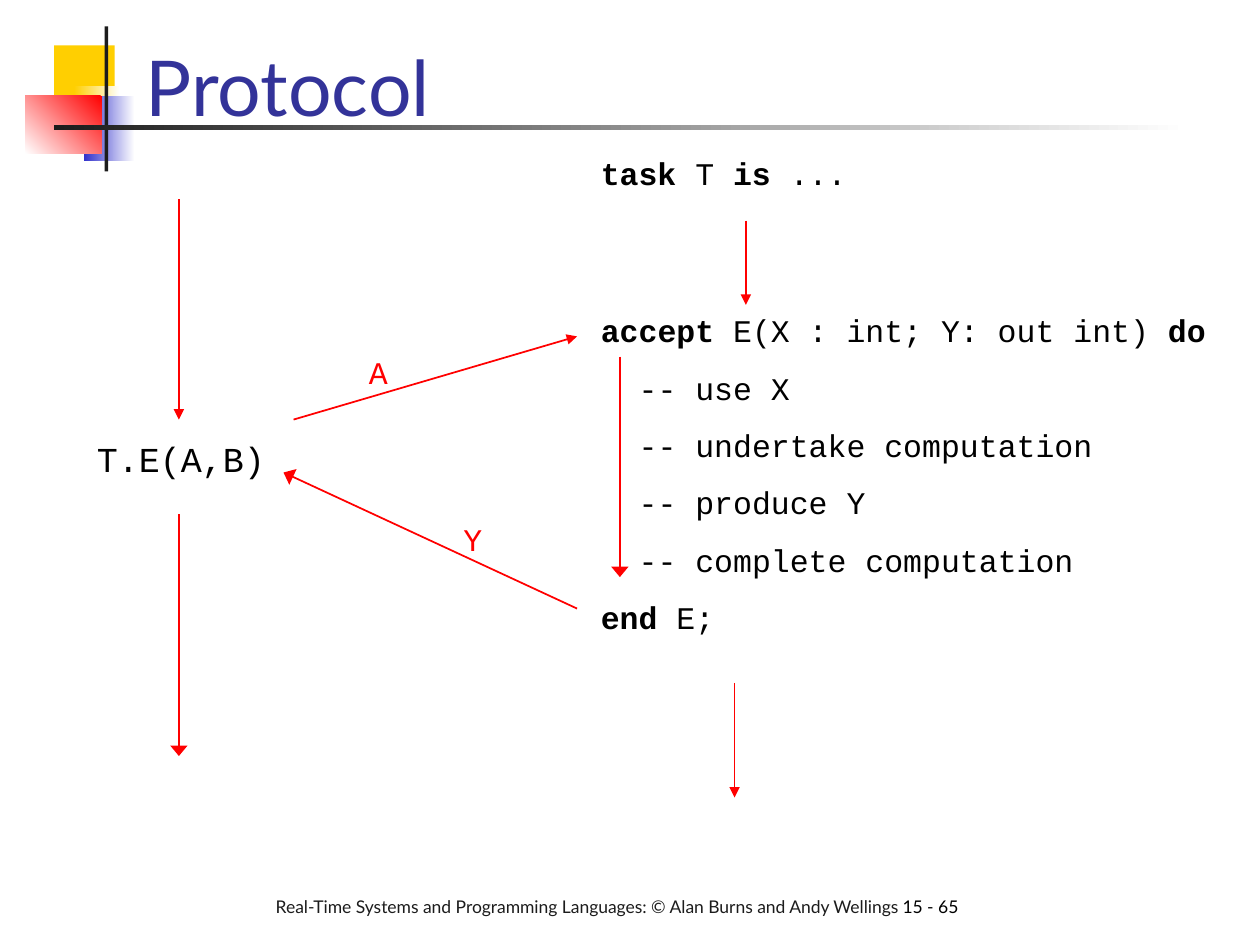
from dataclasses import dataclass

from lxml.etree import SubElement
from pptx import Presentation
from pptx.dml.color import RGBColor
from pptx.enum.shapes import MSO_CONNECTOR, MSO_SHAPE
from pptx.enum.text import MSO_ANCHOR, MSO_AUTO_SIZE
from pptx.oxml.ns import qn
from pptx.util import Inches, Pt


@dataclass(frozen=True)
class Theme:
    sans: str = "Lato"
    mono: str = "Courier New"
    black: str = "000000"
    charcoal: str = "1C1C1C"
    white: str = "FFFFFF"
    yellow: str = "FFCF01"
    blue: str = "3333CC"
    red: str = "FF0000"
    navy: str = "333399"
    title_size: float = 44
    call_size: float = 20
    code_size: float = 18
    footer_size: float = 10
    line_width: float = 1
    code_gap: float = 11.2


class SlideBuilder:
    def __init__(self, slide, theme):
        self.shapes = slide.shapes
        self.theme = theme

    def bar(self, box, *colors, angle=180):
        """Draw a plain rectangle for one colour, a gradient for two."""
        bar = self.shapes.add_shape(MSO_SHAPE.RECTANGLE, *map(Inches, box))
        bar.shadow.inherit = False
        bar.line.fill.background()
        if len(colors) == 1:
            bar.fill.solid()
            bar.fill.fore_color.rgb = RGBColor.from_string(colors[0])
            return
        bar.fill.gradient()
        bar.fill.gradient_angle = angle
        for stop, color in zip(bar.fill.gradient_stops, colors):
            stop.color.rgb = RGBColor.from_string(color)

    def text(self, box, lines, size, color=None, font=None, gap=0, **frame_format):
        """Write lines, each a list of (words, bold, optional colour) runs."""
        frame = self.shapes.add_textbox(*map(Inches, box)).text_frame
        settings = {"word_wrap": True, "auto_size": MSO_AUTO_SIZE.SHAPE_TO_FIT_TEXT}
        for name, value in {**settings, **frame_format}.items():
            setattr(frame, name, value)
        for index, line in enumerate(lines):
            paragraph = frame.paragraphs[0] if index == 0 else frame.add_paragraph()
            paragraph.space_before = Pt(gap if index else 0)
            for words, bold, *own_color in line:
                run = paragraph.add_run()
                run.text = words
                font_format = {"name": font or self.theme.mono, "size": Pt(size), "bold": bold}
                for name, value in font_format.items():
                    setattr(run.font, name, value)
                run_color = own_color[0] if own_color else color or self.theme.black
                run.font.color.rgb = RGBColor.from_string(run_color)

    def arrow(self, start, end, head_width="med"):
        arrow = self.shapes.add_connector(
            MSO_CONNECTOR.STRAIGHT, *map(Inches, (*start, *end)))
        arrow.line.width = Pt(self.theme.line_width)
        arrow.line.color.rgb = RGBColor.from_string(self.theme.red)
        SubElement(arrow.line._get_or_add_ln(), qn("a:tailEnd"),
                   type="triangle", w=head_width, len="med")
        SubElement(arrow._element.spPr, qn("a:effectLst"))


def main():
    theme = Theme()
    deck = Presentation()
    deck.slide_width, deck.slide_height = Inches(10), Inches(7.5)
    slide = SlideBuilder(deck.slides.add_slide(deck.slide_layouts[6]), theme)

    # Corner ornament and title rule
    slide.bar((0.43, 0.36, 0.48, 0.52), theme.yellow)
    slide.bar((0.59, 0.68, 0.36, 0.52), theme.white, theme.yellow)
    slide.bar((0.67, 0.76, 0.4, 0.52), theme.white, theme.blue)
    slide.bar((0.2, 0.76, 0.61, 0.46), theme.red, theme.white, angle=225)
    slide.bar((0.83, 0.21, 0.03, 1.15), theme.charcoal)
    slide.bar((0.43, 0.99, 9, 0.04), theme.white, theme.charcoal)

    footer = [
        ("Real-Time Systems and Programming Languages: © Alan Burns and Andy Wellings ", False),
        ("15 - 65", False, theme.black),
    ]
    slide.text((2.09, 7.06, 6.06, 0.46), [footer], theme.footer_size,
               theme.charcoal, theme.sans)
    slide.text((1.06, 0.13, 8.52, 0.97), [[("Protocol", False)]], theme.title_size,
               theme.navy, theme.sans,
               vertical_anchor=MSO_ANCHOR.BOTTOM, auto_size=MSO_AUTO_SIZE.NONE)

    # Calling task and accepting task
    slide.text((0.67, 3.42, 2.58, 0.44), [[("T.E(A,B)", False)]], theme.call_size)
    task_header = [("task", True), (" T ", False), ("is", True), (" ...", False)]
    slide.text((4.67, 1.17, 3.17, 0.4), [task_header], theme.code_size)
    steps = ["use X", "undertake computation", "produce Y", "complete computation"]
    accept_body = [
        [("accept", True), (" E(X : int; Y: out int) ", False), ("do", True)],
        *[[(f"  -- {step}", False)] for step in steps],
        [("end ", True), ("E;", False)],
    ]
    slide.text((4.67, 2.42, 5.05, 2.68), accept_body, theme.code_size, gap=theme.code_gap)

    # Parameters passed between the tasks
    for parameter, left, top in [("A", 2.83, 2.75), ("Y", 3.58, 4.08)]:
        slide.text((left, top, 0.42, 0.4), [[(parameter, False)]],
                   theme.code_size, theme.red)
    slide.arrow((2.33, 3.33), (4.58, 2.67))
    slide.arrow((4.58, 4.83), (2.25, 3.75), "lg")

    # Flow of control: x, top, bottom, head width
    for x, top, bottom, head_width in [
        (1.42, 1.58, 3.33, "med"),
        (1.42, 4.08, 6, "lg"),
        (5.92, 1.75, 2.42, "med"),
        (4.92, 2.83, 4.58, "lg"),
        (5.83, 5.42, 6.33, "med"),
    ]:
        slide.arrow((x, top), (x, bottom), head_width)

    deck.save("out.pptx")


if __name__ == "__main__":
    main()
